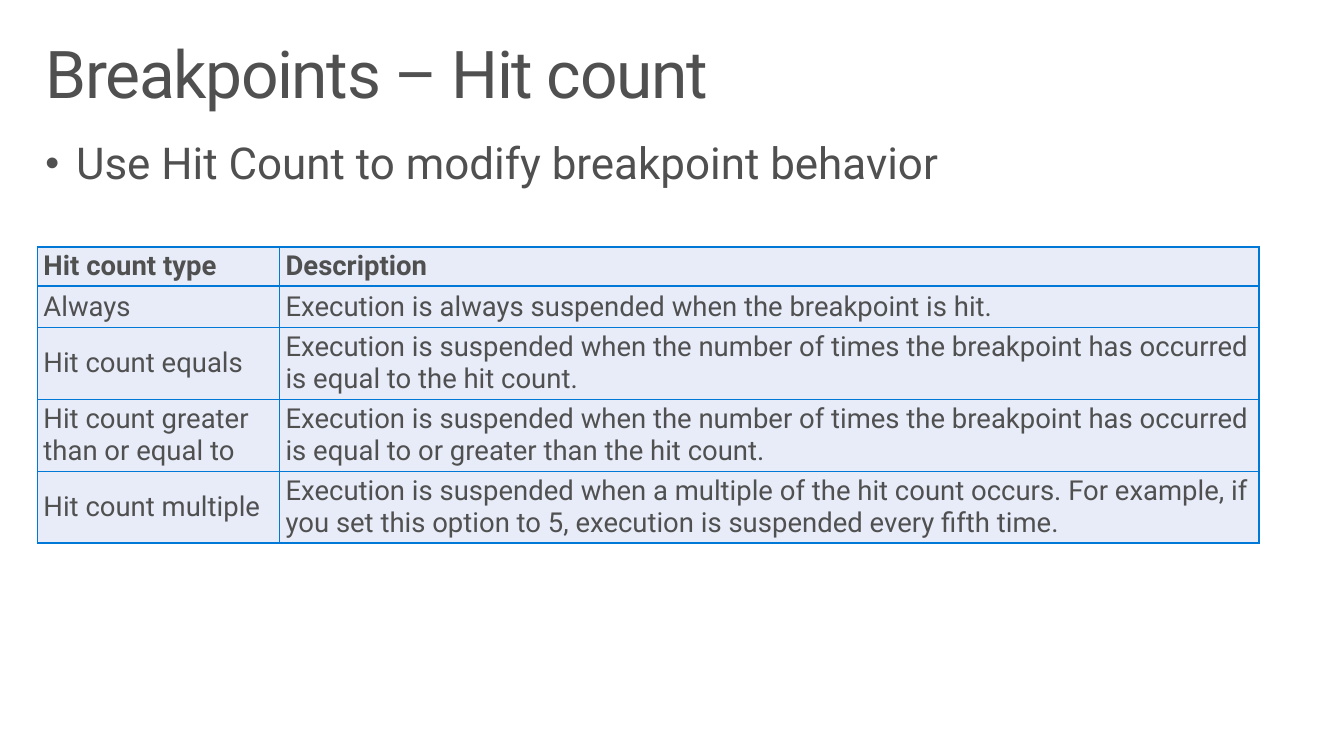
from lxml import etree
from pptx import Presentation
from pptx import util as u
from pptx.dml.color import RGBColor
from pptx.enum import text
from pptx.oxml import ns

INK, EDGE, CELL = "505050", "0078D7", "E7ECF8"


def color(code):
    return RGBColor.from_string(code)


def add_xml(parent, tag, **attributes):
    return etree.SubElement(parent, ns.qn(tag), attributes)


class Sheet:
    """Holds the text style and the current slide."""

    font = "Roboto"

    def __init__(self, page):
        self.page = page

    def format_runs(self, para, size, bold=False):
        for span in para.runs:
            span.font.name = self.font
            span.font.size = u.Pt(size)
            span.font.bold = bold
            span.font.color.rgb = color(INK)

    def set_margins(self, holder, side, edge):
        holder.margin_left = holder.margin_right = u.Inches(side)
        holder.margin_top = holder.margin_bottom = u.Inches(edge)

    def text(self, wording, left, top, width, height, size):
        box = self.page.shapes.add_textbox(*map(u.Inches, (left, top, width, height)))
        frame = box.text_frame
        frame.word_wrap = True
        frame.vertical_anchor = text.MSO_ANCHOR.TOP
        self.set_margins(frame, 0.16, 0.1)
        frame.text = wording
        para = frame.paragraphs[0]
        para.line_spacing = 0.9
        self.format_runs(para, size)
        return para

    def title(self, wording, *place, size):
        para = self.text(wording, *place, size)
        for span in para.runs:
            span.font._element.set("spc", "-100")

    def bullet(self, wording, *place, size):
        para = self.text(wording, *place, size)
        para.space_before = u.Pt(12.2)
        props = para._p.get_or_add_pPr()
        props.set("marL", str(u.Inches(0.31)))
        props.set("indent", str(u.Inches(-0.31)))
        add_xml(add_xml(props, "a:buClr"), "a:srgbClr", val=INK)
        add_xml(props, "a:buSzPct", val="90000")
        add_xml(props, "a:buFont", typeface="Arial")
        add_xml(props, "a:buChar", char="•")

    def border(self, cell):
        props = cell._tc.get_or_add_tcPr()
        for side in ("a:lnL", "a:lnR", "a:lnT", "a:lnB"):
            line = add_xml(props, side, w=str(u.Pt(1)))
            add_xml(add_xml(line, "a:solidFill"), "a:srgbClr", val=EDGE)

    def table(self, rows, left, top, widths, heights, size):
        place = map(u.Inches, (left, top, sum(widths), sum(heights)))
        table = self.page.shapes.add_table(len(rows), len(widths), *place).table
        table.horz_banding = False
        for column, width in zip(table.columns, widths):
            column.width = u.Inches(width)
        for index, (row, height) in enumerate(zip(table.rows, heights)):
            row.height = u.Inches(height)
            for cell, wording in zip(row.cells, rows[index]):
                cell.text = wording
                cell.vertical_anchor = text.MSO_ANCHOR.MIDDLE
                self.set_margins(cell, 0.06, 0.03)
                self.border(cell)
                cell.fill.solid()
                cell.fill.fore_color.rgb = color(CELL)
                self.format_runs(cell.text_frame.paragraphs[0], size, bold=index == 0)


deck = Presentation()
deck.slide_width, deck.slide_height = u.Inches(13.6), u.Inches(7.65)
sheet = Sheet(deck.slides.add_slide(deck.slide_layouts[6]))

# Heading and lead point
sheet.title("Breakpoints – Hit count", 0.3, 0.32, 13, 1, size=48)
sheet.bullet("Use Hit Count to modify breakpoint behavior", 0.3, 1.33, 12.92, 1.34, size=32)

# Hit count types
SUSPENDED = "Execution is suspended when the number of times the breakpoint has occurred is equal to "
hit_counts = [
    ("Hit count type", "Description"),
    ("Always", "Execution is always suspended when the breakpoint is hit."),
    ("Hit count equals", SUSPENDED + "the hit count."),
    ("Hit count greater than or equal to", SUSPENDED + "or greater than the hit count."),
    ("Hit count multiple",
     "Execution is suspended when a multiple of the hit count occurs. For example, "
     "if you set this option to 5, execution is suspended every fifth time."),
]
sheet.table(hit_counts, 0.38, 2.5, widths=(2.45, 9.91),
            heights=(0.39, 0.42, 0.71, 0.71, 0.71), size=20)

deck.save("out.pptx")
